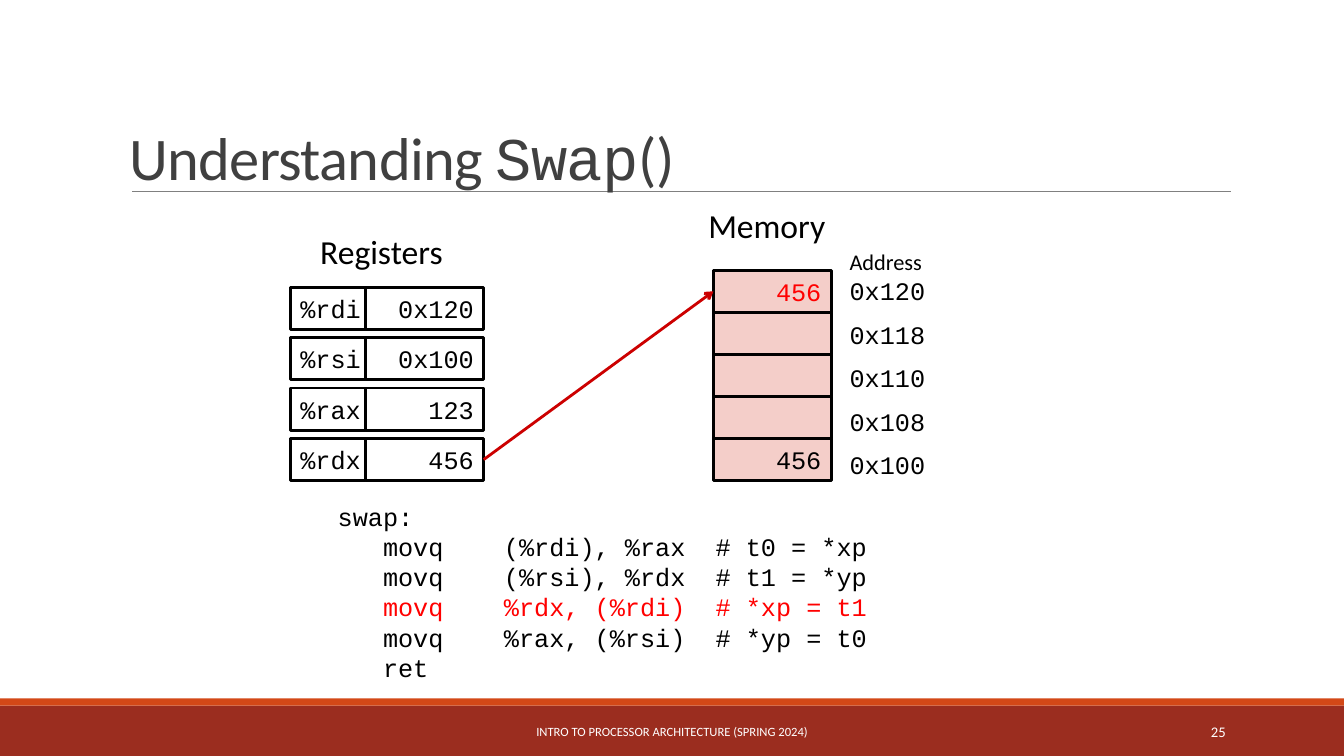
from lxml import etree
from pptx import Presentation
from pptx.dml.color import RGBColor
from pptx.enum import shapes, text
from pptx.oxml import ns
from pptx.util import Cm, Pt

COLORS = {
    "footer": "9B2D1F", "strip": "D34817", "rule": "808080", "title": "404040",
    "memory": "F4CEC9", "black": "000000", "white": "FFFFFF",
    "changed": "FF0000", "arrow": "CC0000",
}
SANS, MONO = "Calibri", "Courier New"
LEFT, CENTER, RIGHT = text.PP_ALIGN.LEFT, text.PP_ALIGN.CENTER, text.PP_ALIGN.RIGHT
TOP, MIDDLE, BOTTOM = text.MSO_ANCHOR.TOP, text.MSO_ANCHOR.MIDDLE, text.MSO_ANCHOR.BOTTOM

prs = Presentation()
prs.slide_width, prs.slide_height = Cm(33.87), Cm(19.05)
slide = prs.slides.add_slide(prs.slide_layouts[6])


def add_rect(left, top, width, height, fill, outlined=False):
    rect = slide.shapes.add_shape(
        shapes.MSO_SHAPE.RECTANGLE, Cm(left), Cm(top), Cm(width), Cm(height))
    rect.shadow.inherit = False
    rect.fill.solid()
    rect.fill.fore_color.rgb = RGBColor.from_string(COLORS[fill])
    if outlined:
        rect.line.color.rgb = RGBColor.from_string(COLORS["black"])
        rect.line.width = Pt(2)
    else:
        rect.line.fill.background()
    return rect


def write(shape, content, font, size, color="black", align=LEFT, anchor=TOP, wrap=True):
    """Fill a shape with text in one style and return its text frame."""
    frame = shape.text_frame
    frame.text = content
    frame.word_wrap = wrap
    frame.vertical_anchor = anchor
    for paragraph in frame.paragraphs:
        paragraph.alignment = align
        for run in paragraph.runs:
            run.font.name = font
            run.font.size = Pt(size)
            run.font.color.rgb = RGBColor.from_string(COLORS[color])
    return frame


# Footer bars and title rule
add_rect(0, 17.78, 33.87, 1.27, "footer")
add_rect(0, 17.6, 33.87, 0.18, "strip")
rule = slide.shapes.add_connector(
    shapes.MSO_CONNECTOR.STRAIGHT, Cm(3.33), Cm(4.83), Cm(31.01), Cm(4.83))
rule.line.color.rgb = RGBColor.from_string(COLORS["rule"])
rule.line.width = Pt(0.5)

# Title, with the function name in the code font
title = slide.shapes.add_textbox(Cm(3.02), Cm(3.38), Cm(17.7), Cm(1.6))
heading = write(title, "Understanding ", SANS, 43.2, "title", anchor=BOTTOM).paragraphs[0]
heading.line_spacing = 0.85
for part, font in (("Swap", MONO), ("()", SANS)):
    run = heading.add_run()
    run.text = part
    run.font.name = font
    run.font.size = Pt(43.2)
    run.font.color.rgb = RGBColor.from_string(COLORS["title"])
for run in heading.runs:
    run.font._element.set("spc", "-50")

# Memory cells and their addresses
CELL_HEIGHT, CELL_WIDTH, MEMORY_TOP = 1.06, 2.97, 6.81
memory_cells = []
memory = [("0x120", "456", "changed"), ("0x118", "", "black"), ("0x110", "", "black"),
          ("0x108", "", "black"), ("0x100", "456", "black")]
for row, (address, value, color) in enumerate(memory):
    cell = add_rect(17.98, MEMORY_TOP + row * CELL_HEIGHT, CELL_WIDTH, CELL_HEIGHT,
                    "memory", outlined=True)
    memory_cells.append(cell)
    if value:
        write(cell, value, MONO, 18, color, RIGHT, MIDDLE, wrap=False)
    address_label = slide.shapes.add_textbox(
        Cm(21.16), Cm(MEMORY_TOP + row * 1.1), Cm(3.38), Cm(1.02))
    write(address_label, address, MONO, 18)

# Registers
register_values = {}
registers = [("%rdi", "0x120"), ("%rsi", "0x100"), ("%rax", "123"), ("%rdx", "456")]
for row, (register, value) in enumerate(registers):
    top = 7.24 + row * 1.27
    name_cell = add_rect(7.32, top, 1.9, CELL_HEIGHT, "white", outlined=True)
    write(name_cell, register, MONO, 18, anchor=MIDDLE, wrap=False)
    value_cell = add_rect(9.22, top, CELL_WIDTH, CELL_HEIGHT, "white", outlined=True)
    write(value_cell, value, MONO, 18, align=RIGHT, anchor=MIDDLE, wrap=False)
    register_values[register] = value_cell

# The store from %rdx to address 0x120
store = slide.shapes.add_connector(shapes.MSO_CONNECTOR.STRAIGHT, 0, 0, 0, 0)
store.begin_connect(register_values["%rdx"], 3)
store.end_connect(memory_cells[0], 1)
store.line.color.rgb = RGBColor.from_string(COLORS["arrow"])
store.line.width = Pt(2)
etree.SubElement(store.line._get_or_add_ln(), ns.qn("a:tailEnd"), type="arrow")
for connector in (rule, store):
    etree.SubElement(connector._element.spPr, ns.qn("a:effectLst"))

# Headings and footer
labels = [
    (7.82, 5.69, 3.76, 1.27, "Registers", 24, "black", LEFT, TOP),
    (17.6, 5.05, 3.56, 1.27, "Memory", 24, "black", LEFT, TOP),
    (21.16, 6.12, 3.38, 0.94, "Address", 16, "black", LEFT, TOP),
    (10.24, 17.93, 13.39, 1.02, "INTRO TO PROCESSOR ARCHITECTURE (SPRING 2024)",
     9, "white", CENTER, MIDDLE),
    (27.51, 17.93, 3.63, 1.02, "25", 10.5, "white", RIGHT, MIDDLE),
]
for left, top, width, height, content, size, color, align, anchor in labels:
    label = slide.shapes.add_textbox(Cm(left), Cm(top), Cm(width), Cm(height))
    write(label, content, SANS, size, color, align, anchor)

# Assembly listing, with the current instruction highlighted
SWAP_CODE = """swap:
   movq    (%rdi), %rax  # t0 = *xp
   movq    (%rsi), %rdx  # t1 = *yp
   movq    %rdx, (%rdi)  # *xp = t1
   movq    %rax, (%rsi)  # *yp = t0
   ret"""
listing = slide.shapes.add_textbox(Cm(8.26), Cm(12.5), Cm(16.31), Cm(4.88))
code_lines = write(listing, SWAP_CODE, MONO, 18).paragraphs
code_lines[3].runs[0].font.color.rgb = RGBColor.from_string(COLORS["changed"])

prs.save("out.pptx")
